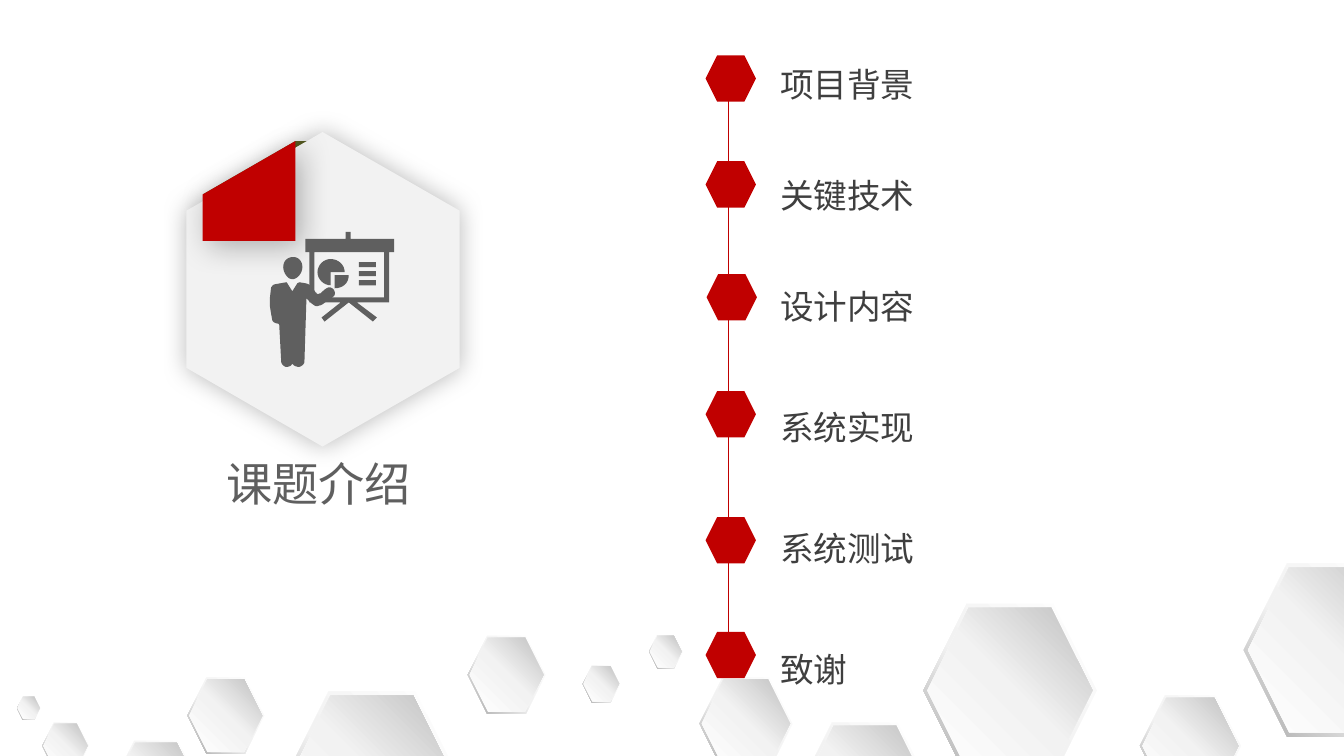
from dataclasses import dataclass
from typing import NamedTuple

from lxml.etree import SubElement
from pptx import Presentation
from pptx.dml.color import RGBColor
from pptx.enum.shapes import MSO_CONNECTOR, MSO_SHAPE
from pptx.enum.text import MSO_ANCHOR, PP_ALIGN
from pptx.oxml import parse_xml
from pptx.oxml.ns import nsdecls, qn
from pptx.util import Pt

COLORS = {"red": "C00000", "olive": "5F6524", "panel": "F2F2F2",
          "icon": "5F5F5F", "text": "3F3F3F", "white": "FFFFFF",
          "mid": "F2F2F2", "rim": "A6A6A6", "face": "BFBFBF", "black": "000000"}
CJK = "Noto Sans CJK SC"
GRID = 0.72  # points per unit of the badge drawing
CURVE_STEPS = 8
FACE_SCALE = 0.953


class Tile(NamedTuple):
    left: float
    top: float
    size: float


class Milestone(NamedTuple):
    text: str
    left: float
    top: float
    gap: float


class Shadow(NamedTuple):
    blur: float
    dist: float
    angle: int


@dataclass
class Outline:
    """Closed contours on the badge grid; a point of six numbers is a cubic curve."""
    color: str
    contours: list
    shadow: Shadow | None = None


TILES = [
    Tile(659.5, 431.3, 123.8), Tile(499.7, 483.8, 66.2), Tile(571, 516.2, 93.6),
    Tile(814.3, 496.8, 72), Tile(80.6, 529.2, 61.9), Tile(416.2, 475.2, 26.6),
    Tile(334.1, 454.3, 55.4), Tile(888.5, 402.5, 123.8), Tile(463.7, 453.6, 23.8),
    Tile(203.8, 493.9, 123.8), Tile(133.9, 483.8, 54.7), Tile(30.2, 516.2, 33.1),
    Tile(12.2, 497.5, 16.6),
]
MILESTONES = [
    Milestone("项目背景", 504, 39.6, 0), Milestone("关键技术", 504, 115.2, 36),
    Milestone("设计内容", 504.7, 195.8, 36), Milestone("系统实现", 504, 279.4, 43.2),
    Milestone("系统测试", 504, 369.4, 43.2), Milestone("致谢", 504, 451.4, 43.2),
]


def box(left: int, top: int, right: int, bottom: int) -> list:
    return [(left, top), (right, top), (right, bottom), (left, bottom)]


BOARD = [
    [(348, 237), (348, 230), (343, 230), (343, 237), (303, 237), (303, 250),
     (307, 250), (307, 300), (338, 300), (319, 315), (322, 319), (346, 300),
     (370, 319), (374, 315), (354, 300), (386, 300), (386, 250), (391, 250),
     (391, 237)],
    box(312, 250, 381, 295),
    [(328, 283), (328, 270), (342, 270), (342, 263, 336, 257, 328, 257),
     (321, 257, 315, 263, 315, 270), (315, 277, 321, 283, 328, 283)],
    [(332, 286), (340, 286, 346, 281, 346, 273), (332, 273)],
    *[box(356, top, 373, top + 5) for top in (260, 269, 278)],
]
SPEAKER = [
    [(302, 359), (302, 361, 299, 364, 296, 364), (295, 364, 292, 363, 291, 362),
     (291, 361, 290, 361, 289, 362), (289, 363, 286, 364, 284, 364),
     (282, 364, 279, 361, 279, 359), (277, 322), (276, 321),
     (273, 321, 270, 319, 270, 317), (267, 301, 267, 301, 269, 285),
     (270, 284, 271, 282, 273, 282), (284, 280), (285, 281), (290, 289),
     (295, 281), (297, 280), (303, 281), (306, 282, 307, 282, 308, 284),
     (310, 286, 312, 288, 313, 290), (314, 290, 314, 291, 314, 291),
     (315, 292, 316, 292, 317, 291), (318, 291), (319, 290, 322, 287, 324, 286),
     (329, 282, 336, 291, 330, 295), (328, 296, 326, 298, 324, 299),
     (321, 301, 319, 303, 317, 303), (315, 304, 313, 304, 312, 303),
     (310, 302, 308, 300, 305, 297), (304, 296)],
    [(291, 255), (296, 255, 300, 259, 300, 265), (300, 271, 295, 277, 290, 277),
     (285, 277, 281, 270, 281, 265), (281, 259, 285, 255, 291, 255)],
]
BADGE = [
    Outline("olive", [[(201, 193), (293, 140), (320, 140), (320, 193)]]),
    Outline("panel", [[(185, 365), (185, 209), (320, 131), (456, 209),
                       (456, 365), (320, 443)]], Shadow(18, 0, 0)),
    Outline("red", [[(201, 239), (293, 239), (293, 140), (201, 193)]],
            Shadow(22, 6, 45)),
    Outline("icon", BOARD),
    Outline("icon", SPEAKER),
]


def rgb(name: str) -> RGBColor:
    return RGBColor.from_string(COLORS[name])


def paint(sp, color: str) -> None:
    sp.fill.solid()
    sp.fill.fore_color.rgb = rgb(color)
    sp.line.fill.background()
    sp.shadow.inherit = False


def add_hexagon(shapes, left: float, top: float, width: float, height: float,
                color: str):
    sp = shapes.add_shape(MSO_SHAPE.HEXAGON, Pt(left), Pt(top), Pt(width), Pt(height))
    paint(sp, color)
    return sp


def set_gradient(sp, middle: int, end: str, angle: int) -> None:
    """Fill from white through light grey at middle percent to the end colour."""
    stops = "".join(
        f'<a:gs pos="{pos * 1000}"><a:srgbClr val="{COLORS[name]}"/></a:gs>'
        for pos, name in ((0, "white"), (middle, "mid"), (100, end)))
    grad = parse_xml(f'<a:gradFill {nsdecls("a")} rotWithShape="1"><a:gsLst>{stops}'
                     f'</a:gsLst><a:lin ang="{angle * 60000}" scaled="0"/></a:gradFill>')
    solid = sp.element.spPr.find(qn("a:solidFill"))
    sp.element.spPr.replace(solid, grad)


def add_tile(s, tile: Tile) -> None:
    shapes = s.shapes.add_group_shape().shapes
    face = tile.size * FACE_SCALE
    for size, middle, end, angle in ((tile.size, 55, "rim", 135),
                                     (face, 51, "face", 315)):
        inset = (tile.size - size) / 2
        sp = add_hexagon(shapes, tile.left + inset, tile.top + inset, size, size, "mid")
        set_gradient(sp, middle, end, angle)


def add_marker(s, m: Milestone) -> None:
    shapes = s.shapes.add_group_shape().shapes
    add_hexagon(shapes, m.left, m.top, 36, 33.1, "red")
    add_hexagon(shapes, m.left + 8.4, m.top + 7.6, 18.7, 17.3, "red")


def flatten(contour: list) -> list:
    """Turn the curves of a contour into short straight steps, in slide lengths."""
    points = [contour[0]]
    for point in contour[1:]:
        if len(point) == 2:
            points.append(point)
            continue
        ctrl = [points[-1], point[:2], point[2:4], point[4:]]
        for step in range(1, CURVE_STEPS + 1):
            t = step / CURVE_STEPS
            weights = ((1 - t) ** 3, 3 * t * (1 - t) ** 2, 3 * t * t * (1 - t), t ** 3)
            points.append(tuple(sum(w * c[axis] for w, c in zip(weights, ctrl))
                                for axis in (0, 1)))
    return [(Pt(x * GRID), Pt(y * GRID)) for x, y in points]


def add_outline(shapes, outline: Outline) -> None:
    first, *others = [flatten(contour) for contour in outline.contours]
    builder = shapes.build_freeform(*first[0], scale=1.0)
    builder.add_line_segments(first[1:], close=True)
    for points in others:
        builder.move_to(*points[0])
        builder.add_line_segments(points[1:], close=True)
    sp = builder.convert_to_shape()
    paint(sp, outline.color)
    if outline.shadow:
        blur, dist, angle = outline.shadow
        effects = sp.element.spPr.find(qn("a:effectLst"))
        effects.append(parse_xml(
            f'<a:outerShdw {nsdecls("a")} blurRad="{Pt(blur)}" dist="{Pt(dist)}" '
            f'dir="{angle * 60000}" algn="ctr" rotWithShape="0"><a:srgbClr '
            f'val="{COLORS["black"]}"><a:alpha val="28000"/></a:srgbClr></a:outerShdw>'))


def add_spine(s) -> None:
    line = s.shapes.add_connector(MSO_CONNECTOR.STRAIGHT, Pt(520.6), Pt(51.8),
                                  Pt(520.6), Pt(454.3))
    line.line.color.rgb = rgb("red")
    line.line.width = Pt(0.5)
    SubElement(line.element.spPr, qn("a:effectLst"))


def add_text_box(s, left: float, top: float, width: float, height: float):
    tf = s.shapes.add_textbox(Pt(left), Pt(top), Pt(width), Pt(height)).text_frame
    tf.word_wrap = True
    return tf


def write(p, text: str, *, size: float, color: str, font: str) -> None:
    r = p.add_run()
    r.text = text
    r.font.size = Pt(size)
    r.font.name = font
    r.font.color.rgb = rgb(color)
    SubElement(r.font._element, qn("a:ea")).set("typeface", CJK)


def add_agenda(s) -> None:
    tf = add_text_box(s, 550.1, 25.2, 250.6, 467.3)
    tf.margin_top = Pt(6)
    for i, m in enumerate(MILESTONES):
        p = tf.add_paragraph() if i else tf.paragraphs[0]
        p.line_spacing = Pt(43.2)
        p.space_before = Pt(m.gap)
        write(p, m.text, size=24, color="text", font=CJK)


def add_title(s) -> None:
    tf = add_text_box(s, 126.7, 303.1, 201.6, 83.5)
    tf.vertical_anchor = MSO_ANCHOR.MIDDLE
    p = tf.paragraphs[0]
    p.alignment = PP_ALIGN.CENTER
    write(p, "课题介绍", size=33, color="icon", font="Arial")


def main() -> None:
    prs = Presentation()
    prs.slide_width, prs.slide_height = Pt(960), Pt(540)
    s = prs.slides.add_slide(prs.slide_layouts[6])
    for tile in TILES:
        add_tile(s, tile)
    add_spine(s)
    add_agenda(s)
    add_title(s)
    badge = s.shapes.add_group_shape().shapes
    for outline in BADGE:
        add_outline(badge, outline)
    for m in MILESTONES:
        add_marker(s, m)
    prs.save("out.pptx")


if __name__ == "__main__":
    main()
